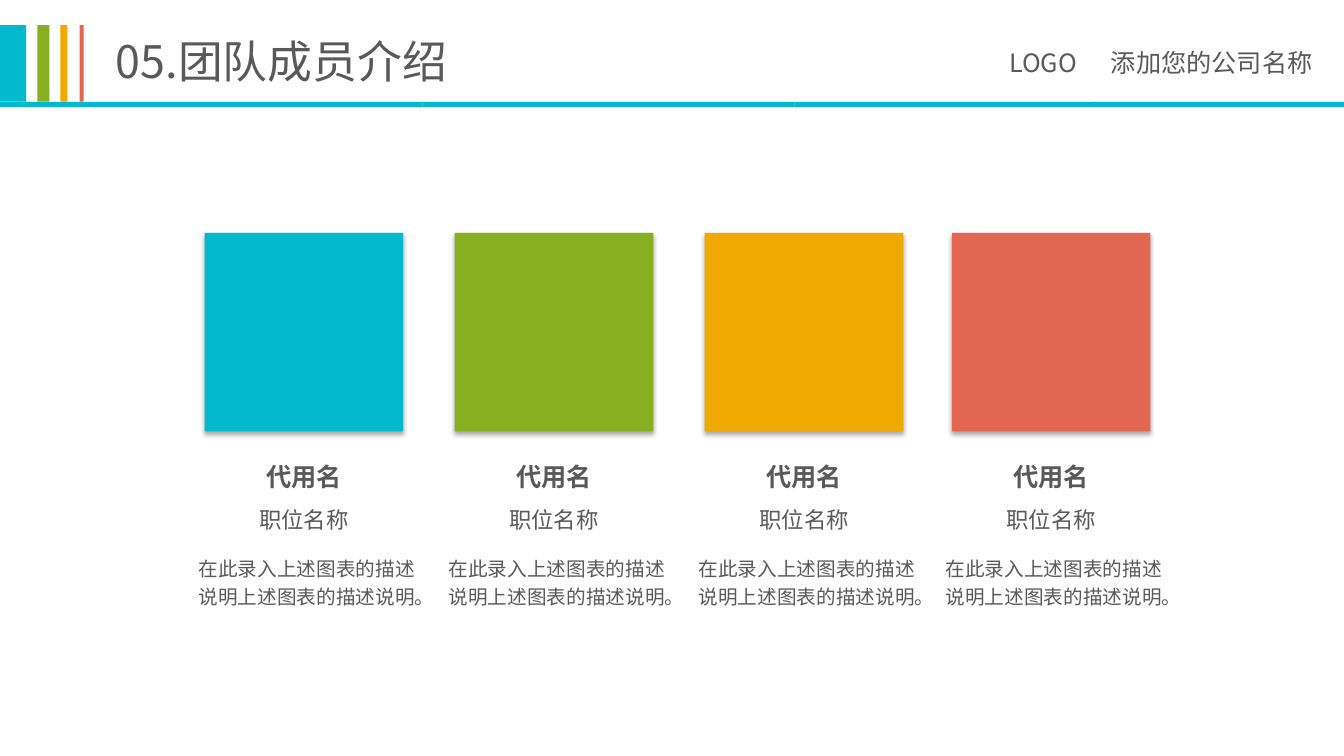
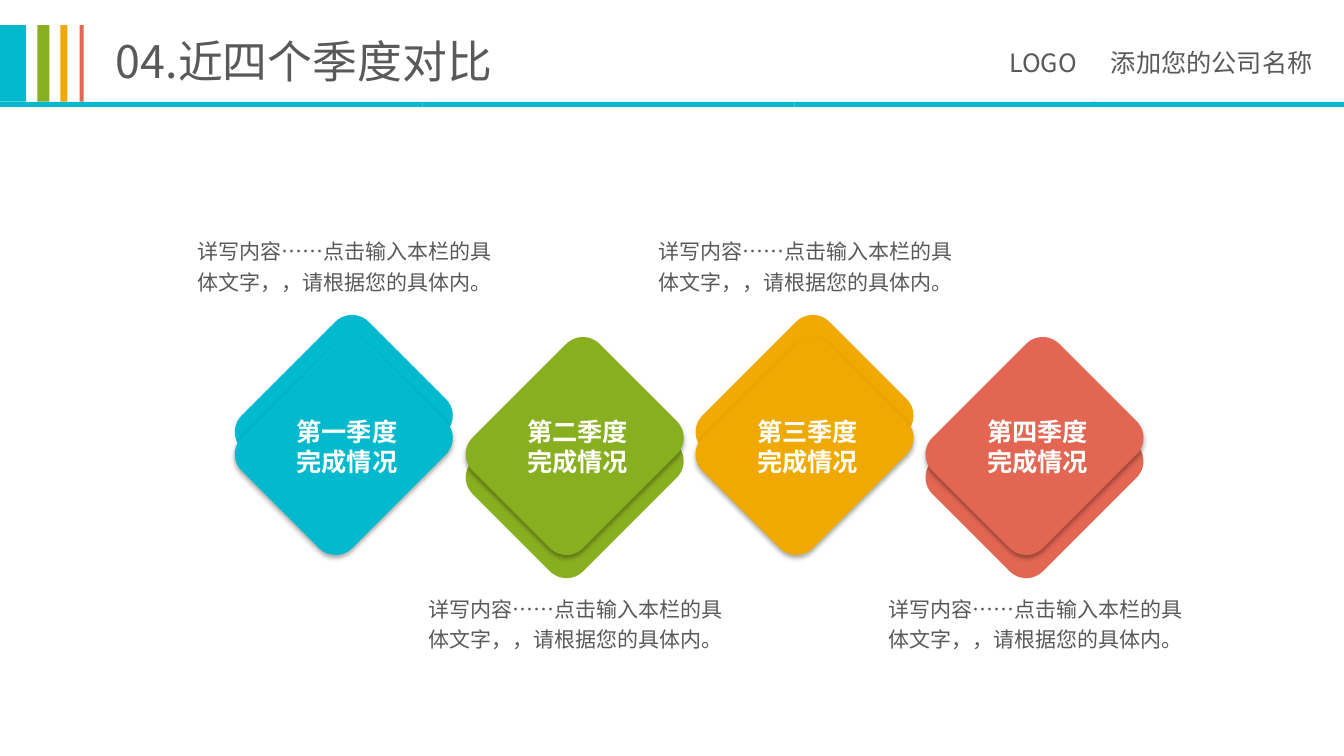
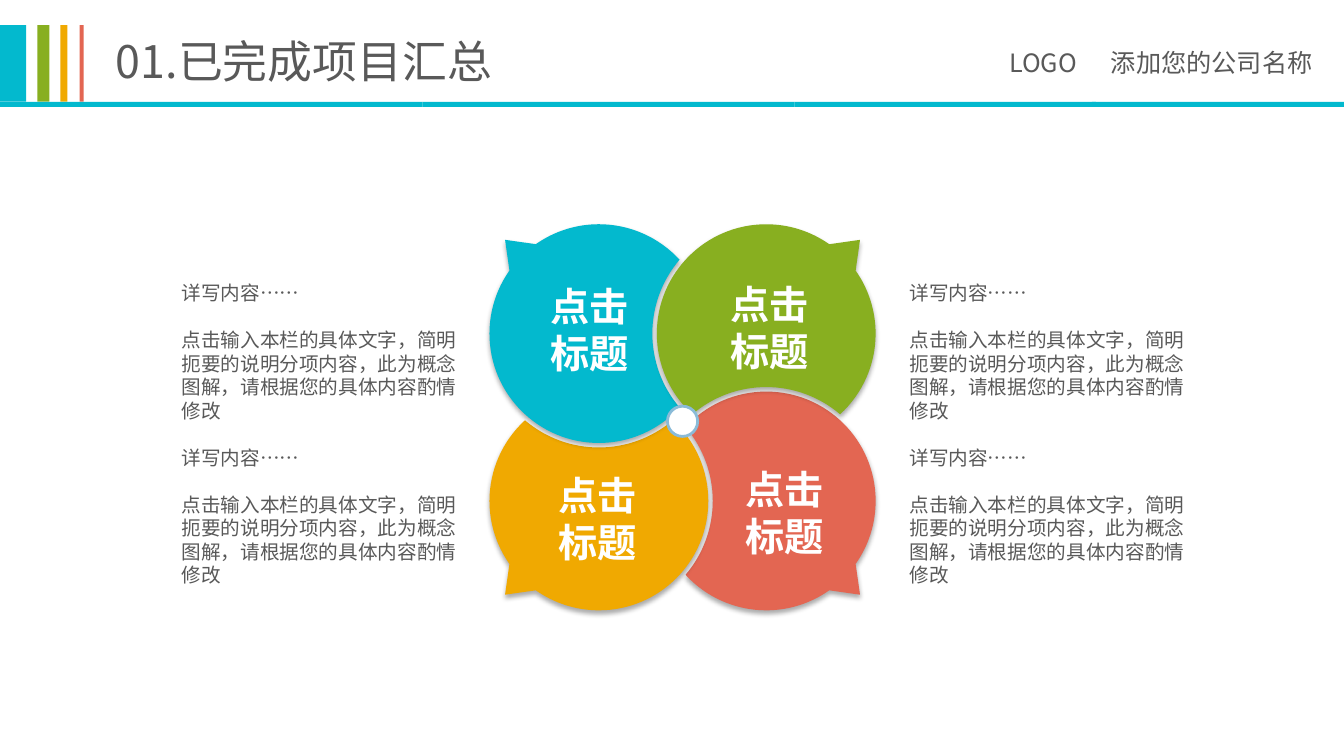
from dataclasses import dataclass
from math import acos, atan2, cos, degrees, hypot, radians, sin, tan

from lxml.etree import SubElement
from pptx import Presentation
from pptx.dml.color import RGBColor
from pptx.enum.lang import MSO_LANGUAGE_ID
from pptx.enum.shapes import MSO_SHAPE
from pptx.enum.text import MSO_ANCHOR, PP_ALIGN
from pptx.oxml.ns import qn
from pptx.shapes.autoshape import Shape
from pptx.slide import Slide
from pptx.util import Inches, Pt

FONT = "Noto Sans CJK SC"
COLORS = {
    "cyan": "03B9CE",
    "green": "88AF20",
    "amber": "F0A901",
    "coral": "E36652",
    "text": "595959",
    "white": "FFFFFF",
    "ring": "8ABBD8",
    "shadow": "000000",
}
ACCENTS = ("cyan", "green", "amber", "coral")

Point = tuple[float, float]
Segment = list[Point]  # one point for a line, three for a curve


@dataclass(frozen=True)
class Box:
    left: float
    top: float
    width: float
    height: float


@dataclass(frozen=True)
class TextStyle:
    size: float
    color: str = "text"
    bold: bool = False
    align: PP_ALIGN = PP_ALIGN.LEFT
    line_spacing: float | None = None
    gap: float = 0  # points before every paragraph but the first
    inset: tuple[float, float] = (0, 0)
    anchor: MSO_ANCHOR = MSO_ANCHOR.TOP


@dataclass(frozen=True)
class Petal:
    color: str
    center: Point
    quarter_turns: int
    label_box: Box


CARD_INSET = (0.07, 0.04)
HEADER_INSET = (0.1, 0.05)
TITLE = TextStyle(32, inset=HEADER_INSET)
COMPANY = TextStyle(18, inset=HEADER_INSET)
MEMBER_NAME = TextStyle(18, bold=True, align=PP_ALIGN.CENTER, inset=CARD_INSET)
MEMBER_POST = TextStyle(16, align=PP_ALIGN.CENTER, inset=CARD_INSET)
MEMBER_NOTE = TextStyle(14, line_spacing=1.2, inset=CARD_INSET)
QUARTER_LABEL = TextStyle(18, "white", True, inset=(0.15, 0.07), anchor=MSO_ANCHOR.MIDDLE)
QUARTER_NOTE = TextStyle(15, align=PP_ALIGN.JUSTIFY, line_spacing=1.2)
PROJECT_NOTE = TextStyle(14, gap=16.8)
PETAL_LABEL = TextStyle(28, "white", True, PP_ALIGN.CENTER)


# Drawing helpers
def rgb(color: str) -> RGBColor:
    return RGBColor.from_string(COLORS[color])


def paint(shape: Shape, color: str, shadow: bool = False) -> None:
    shape.shadow.inherit = False
    shape.fill.solid()
    shape.fill.fore_color.rgb = rgb(color)
    shape.line.fill.background()
    if shadow:
        effects = shape._element.spPr.find(qn("a:effectLst"))
        outer = SubElement(effects, qn("a:outerShdw"), blurRad=str(Pt(3.5)),
                           dist=str(Pt(2.2)), dir="5400000", rotWithShape="0")
        tint = SubElement(outer, qn("a:srgbClr"), val=COLORS["shadow"])
        SubElement(tint, qn("a:alpha"), val="32000")


def add_block(page: Slide, kind: MSO_SHAPE, box: Box, color: str, shadow: bool = False) -> Shape:
    shape = page.shapes.add_shape(kind, Inches(box.left), Inches(box.top),
                                  Inches(box.width), Inches(box.height))
    paint(shape, color, shadow)
    return shape


def add_text(page: Slide, box: Box, text: str, style: TextStyle) -> Shape:
    shape = page.shapes.add_textbox(Inches(box.left), Inches(box.top),
                                    Inches(box.width), Inches(box.height))
    frame = shape.text_frame
    frame.word_wrap = True
    frame.vertical_anchor = style.anchor
    frame.margin_left = frame.margin_right = Inches(style.inset[0])
    frame.margin_top = frame.margin_bottom = Inches(style.inset[1])
    frame.text = text
    for index, para in enumerate(frame.paragraphs):
        para.alignment = style.align
        if style.line_spacing:
            para.line_spacing = style.line_spacing
        if index and style.gap:
            para.space_before = Pt(style.gap)
        for span in para.runs:
            span.font.size = Pt(style.size)
            span.font.bold = style.bold
            span.font.color.rgb = rgb(style.color)
            span.font.language_id = MSO_LANGUAGE_ID.SIMPLIFIED_CHINESE
            span.font.name = FONT
            SubElement(span.font._element, qn("a:ea"), typeface=FONT)
    return shape


def add_page(deck: Presentation, title: str) -> Slide:
    """Add a page with the shared header: title, stripes, company, rule."""
    page = deck.slides.add_slide(deck.slide_layouts[6])
    add_text(page, Box(1.05, 0.29, 5.12, 0.64), title, TITLE)
    stripes = ((0, 0.26), (0.37, 0.12), (0.6, 0.07), (0.79, 0.04))
    for color, (left, width) in zip(ACCENTS, stripes):
        add_block(page, MSO_SHAPE.RECTANGLE, Box(left, 0.25, width, 0.76), color)
    company = add_text(page, Box(9.91, 0.42, 3.42, 0.4), "LOGO\t添加您的公司名称", COMPANY)
    properties = company.text_frame.paragraphs[0]._p.get_or_add_pPr()
    tabs = SubElement(properties, qn("a:tabLst"))
    SubElement(tabs, qn("a:tab"), pos=str(Inches(1.01)), algn="l")
    for left, width in ((0, 4.19), (4.19, 3.69), (7.88, 2.99), (10.83, 2.5)):
        add_block(page, MSO_SHAPE.RECTANGLE, Box(left, 1.01, width, 0.05), "cyan")
    return page


# Team members
def build_team(deck: Presentation) -> None:
    page = add_page(deck, "05.团队成员介绍")
    side = 1.97
    for color, left in zip(ACCENTS, (2.03, 4.51, 6.99, 9.44)):
        add_block(page, MSO_SHAPE.RECTANGLE, Box(left, 2.31, side, side), color, shadow=True)
        add_text(page, Box(left, 4.54, side, 0.38), "代用名", MEMBER_NAME)
        add_text(page, Box(left, 4.98, side, 0.35), "职位名称", MEMBER_POST)
        add_text(page, Box(left - 0.13, 5.44, 2.38, 0.64),
                 "在此录入上述图表的描述说明上述图表的描述说明。", MEMBER_NOTE)


# Quarter comparison
def build_quarters(deck: Presentation) -> None:
    page = add_page(deck, "04.近四个季度对比")
    front_top = 3.65
    shifts = (0, 2.29, 4.57, 6.85)
    for index, (color, numeral, shift) in enumerate(zip(ACCENTS, "一二三四", shifts)):
        raised = index % 2 == 0
        back_top = front_top + (-0.22 if raised else 0.23)
        for top, shadow in ((back_top, False), (front_top, True)):
            tile = add_block(page, MSO_SHAPE.ROUNDED_RECTANGLE,
                             Box(2.52 + shift, top, 1.78, 1.55), color, shadow)
            tile.adjustments[0] = 0.15
            tile.rotation = 315 if raised else 135
        add_text(page, Box(2.79 + shift, 4.28, 1.52, 0.29),
                 f"第{numeral}季度完成情况", QUARTER_LABEL)
        add_text(page, Box(1.96 + shift, 2.32 if raised else 5.87, 2.92, 0.61),
                 "详写内容……点击输入本栏的具体文字，，请根据您的具体内。", QUARTER_NOTE)


# Finished projects
def on_circle(center_x: float, radius: float, angle: float) -> Point:
    return center_x + radius * cos(radians(angle)), radius * sin(radians(angle))


def arc(center_x: float, radius: float, *angles: float) -> list[Segment]:
    """One curve between each two neighbouring angles, in degrees."""
    curves = []
    for start, end in zip(angles, angles[1:]):
        pull = 4 / 3 * tan(radians(end - start) / 4)
        reach, lean = radius * hypot(1, pull), degrees(atan2(pull, 1))
        curves.append([on_circle(center_x, reach, start + lean),
                       on_circle(center_x, reach, end - lean),
                       on_circle(center_x, radius, end)])
    return curves


def petal_outline() -> list[Segment]:
    """Circle with a tail at upper left and a bite cut by its right neighbour."""
    radius, bite, distance = 1.085, 1.13, 1.66
    tail_tip = (-0.93, -0.93)
    cut_x = (distance ** 2 + radius ** 2 - bite ** 2) / (2 * distance)
    cut = degrees(acos(cut_x / radius))
    bite_angle = degrees(acos((distance - cut_x) / bite))
    tail = degrees(atan2(0.62, 0.88))
    return [
        [on_circle(0, radius, cut)],
        *arc(0, radius, cut, 90, 180, 180 + tail),
        [tail_tip],
        [on_circle(0, radius, 270 - tail)],
        *arc(0, radius, 270 - tail, 270, 360 - cut),
        *arc(distance, bite, 180 + bite_angle, 180, 180 - bite_angle),
    ]


def add_petal(page: Slide, petal: Petal) -> None:
    segments = petal_outline()
    for _ in range(petal.quarter_turns):
        segments = [[(-y, x) for x, y in segment] for segment in segments]
    center_x, center_y = petal.center
    corners = [(Inches(center_x + x), Inches(center_y + y))
               for segment in segments for x, y in segment]
    builder = page.shapes.build_freeform(*corners[0])
    builder.add_line_segments(corners[1:], close=True)
    shape = builder.convert_to_shape()

    # Turn each run of three line points into one curve
    lines = list(shape._element.iter(qn("a:lnTo")))
    outline = lines[0].getparent()
    position = 0
    for segment in segments[1:]:
        members = lines[position:position + len(segment)]
        position += len(segment)
        if len(segment) == 3:
            curve = SubElement(outline, qn("a:cubicBezTo"))
            members[0].addprevious(curve)
            for line in members:
                curve.append(line[0])
                outline.remove(line)
    paint(shape, petal.color, shadow=True)


def build_projects(deck: Presentation) -> None:
    page = add_page(deck, "01.已完成项目汇总")
    note = ("详写内容……\n点击输入本栏的具体文字，简明扼要的说明分项内容，"
            "此为概念图解，请根据您的具体内容酌情修改")
    for left, top in ((1.8, 2.79), (9.02, 2.79), (9.02, 4.42), (1.8, 4.42)):
        add_text(page, Box(left, top, 2.76, 1.41), note, PROJECT_NOTE)

    petals = (
        Petal("coral", (7.6, 4.97), 2, Box(7.2, 4.62, 1.17, 0.94)),
        Petal("amber", (5.94, 4.97), 3, Box(5.29, 4.68, 1.27, 0.94)),
        Petal("cyan", (5.94, 3.31), 0, Box(5.23, 2.8, 1.23, 0.94)),
        Petal("green", (7.6, 3.31), 1, Box(7.07, 2.78, 1.13, 0.94)),
    )
    for petal in petals:
        add_petal(page, petal)
    for petal in petals:
        add_text(page, petal.label_box, "点击\n标题", PETAL_LABEL)

    hub = add_block(page, MSO_SHAPE.OVAL, Box(6.62, 4.03, 0.3, 0.3), "white")
    hub.line.color.rgb = rgb("ring")
    hub.line.width = Pt(2)


def main() -> None:
    deck = Presentation()
    deck.slide_width = Inches(13.33)
    deck.slide_height = Inches(7.5)
    build_team(deck)
    build_quarters(deck)
    build_projects(deck)
    deck.save("out.pptx")


if __name__ == "__main__":
    main()
